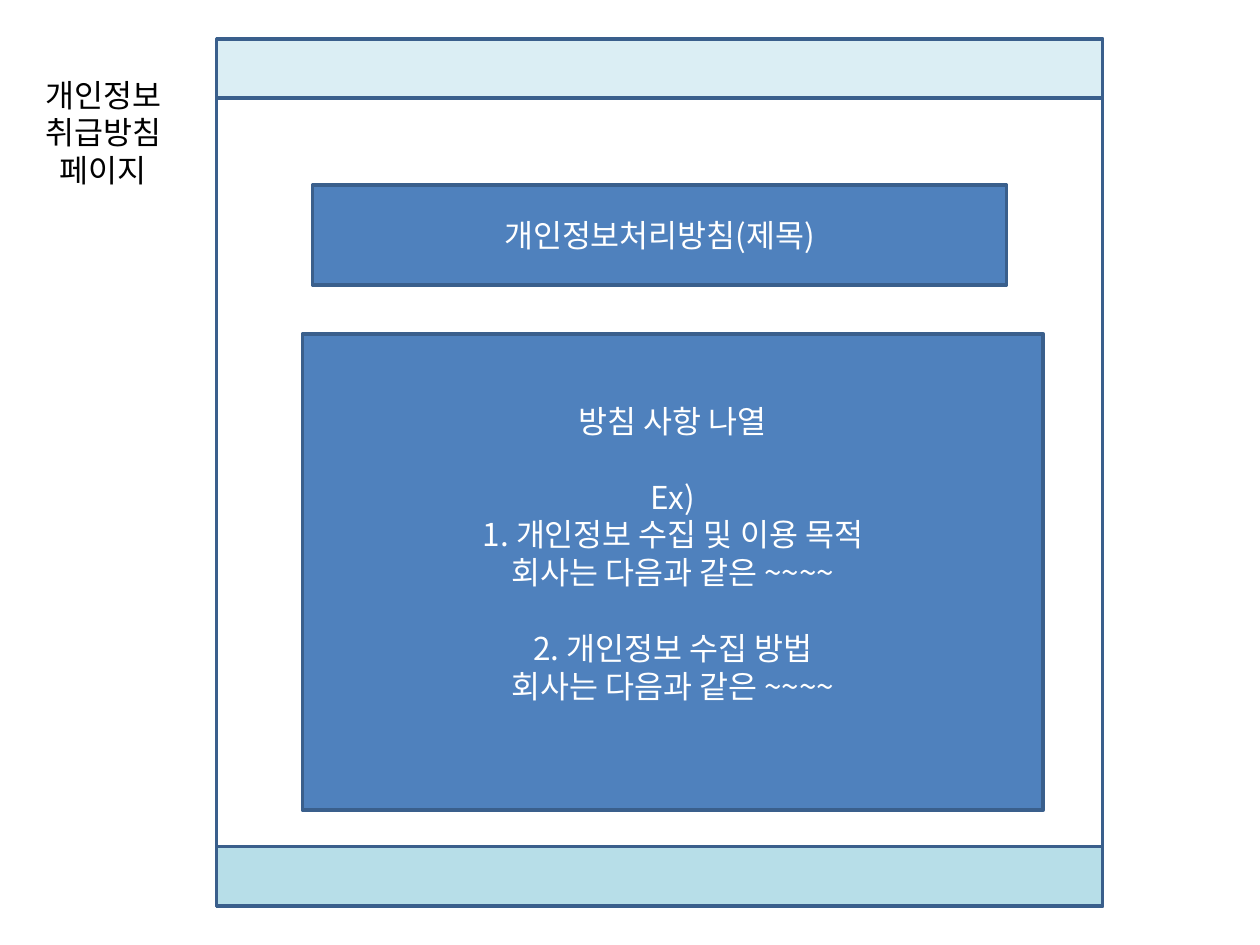
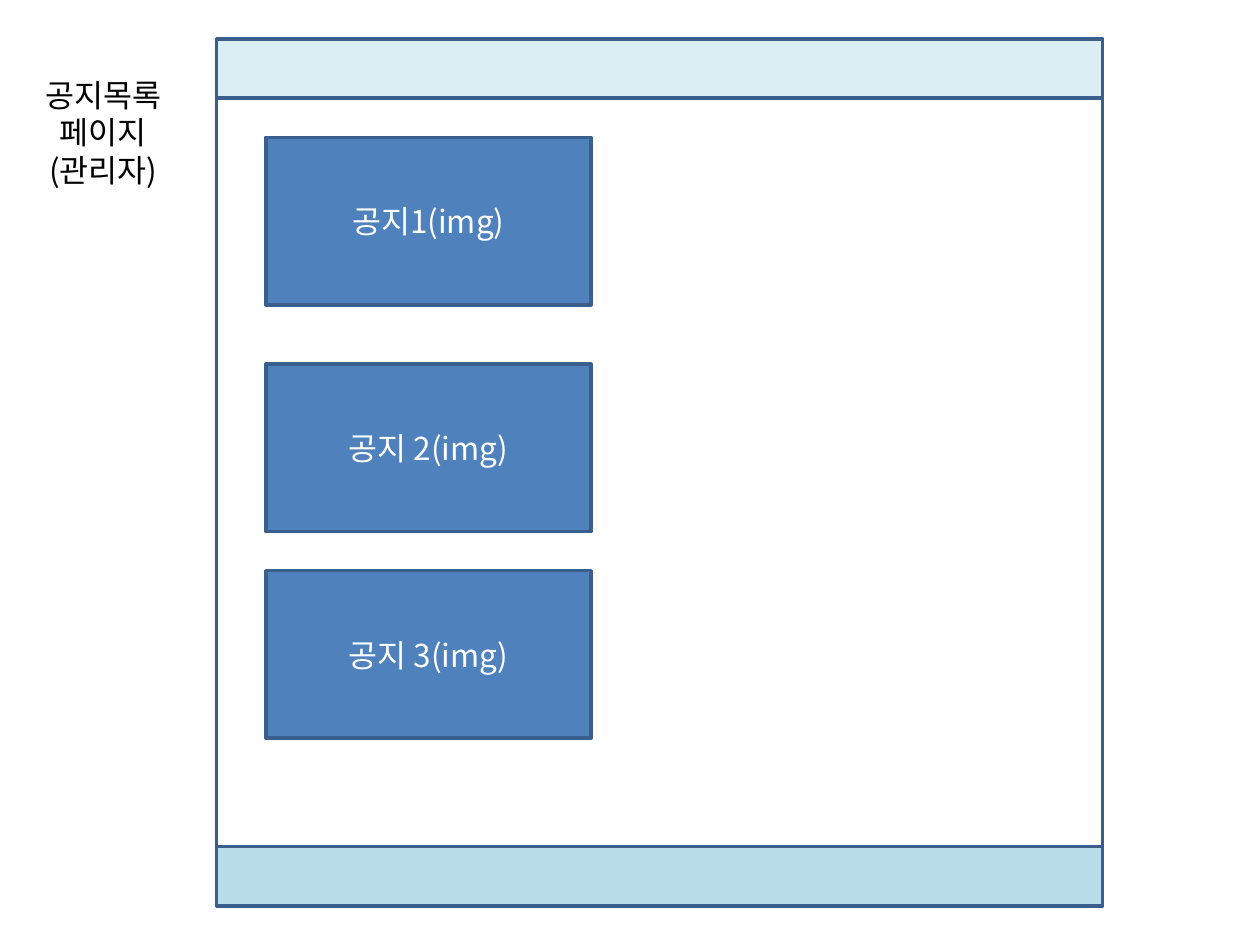
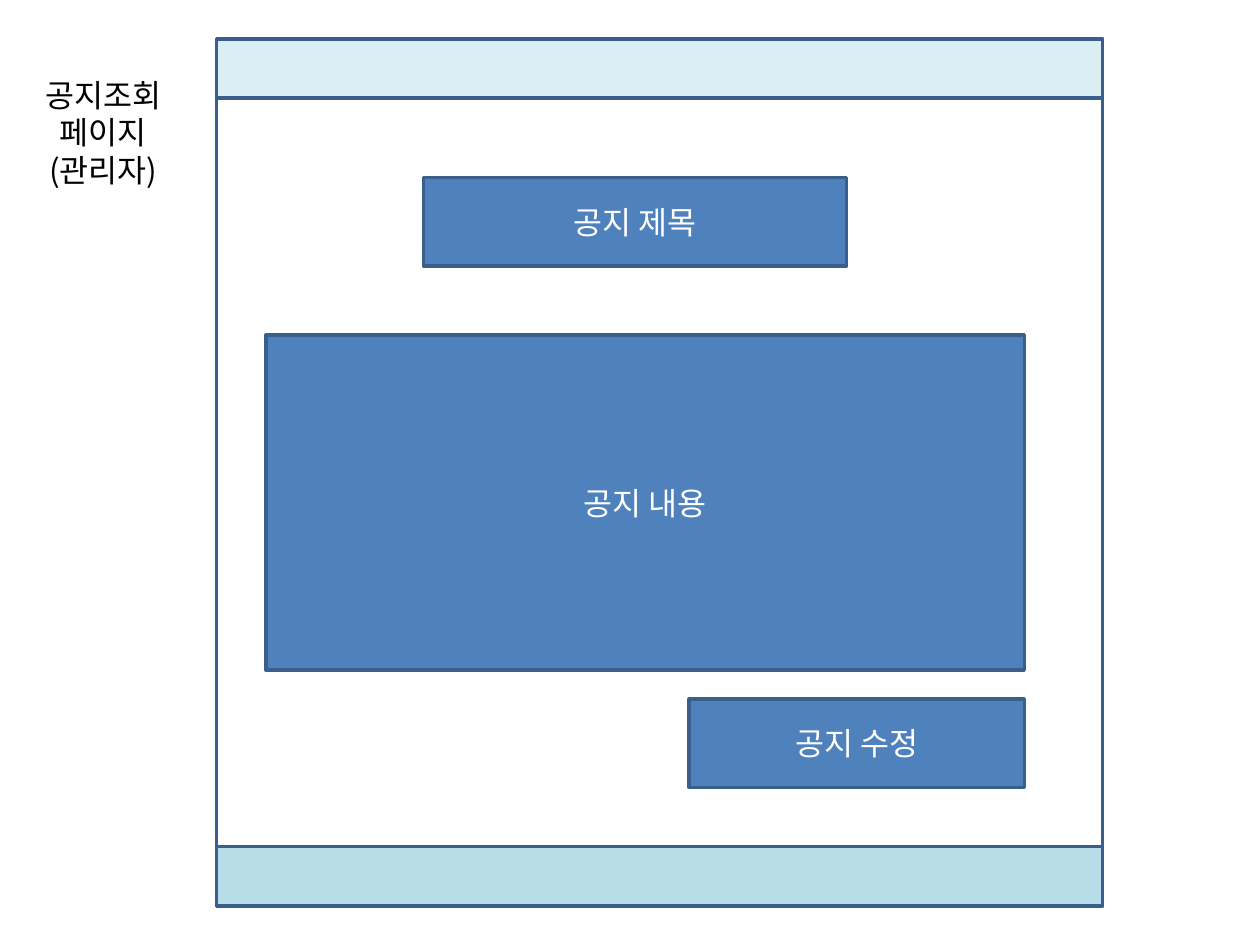
from pptx import Presentation
from pptx.dml.color import RGBColor
from pptx.enum.shapes import MSO_SHAPE
from pptx.enum.text import MSO_ANCHOR, MSO_AUTO_SIZE, PP_ALIGN
from pptx.oxml.ns import qn
from pptx.util import Inches, Pt
from lxml.etree import SubElement

# Shared look
FONT = "Noto Sans CJK KR"
BLACK = RGBColor(0x00, 0x00, 0x00)
WHITE = RGBColor(0xFF, 0xFF, 0xFF)
EDGE = RGBColor(0x3A, 0x5F, 0x8C)
BLUE = RGBColor(0x4F, 0x81, 0xBD)
PALE = RGBColor(0xDB, 0xEE, 0xF4)
AQUA = RGBColor(0xB7, 0xDE, 0xE8)
SIZE = Pt(18)
LINE = Pt(21.6)

deck = Presentation()
deck.slide_width, deck.slide_height = Inches(10), Inches(7.5)

# Grid of 100 columns by 75 rows
COL = deck.slide_width / 100
ROW = deck.slide_height / 75

# Page frame, in grid units
LEFT, TOP, WIDE, TALL, BAND = 17.2, 3.1, 70.3, 68.8, 4.7
FRAME = [
    (TOP, TALL, WHITE),
    (TOP, BAND, PALE),
    (TOP + TALL - BAND, BAND, AQUA),
]


def write(frame, text, color=WHITE, anchor=MSO_ANCHOR.MIDDLE, gaps=()):
    """Fill a text frame; gaps lists the lines that follow an open line."""
    frame.text = text
    frame.word_wrap = True
    frame.auto_size = MSO_AUTO_SIZE.NONE
    frame.vertical_anchor = anchor
    for i, para in enumerate(frame.paragraphs):
        para.alignment = PP_ALIGN.CENTER
        para.line_spacing = LINE
        para.space_before = LINE if i in gaps else Pt(0)
        for run in para.runs:
            run.font.name, run.font.size = FONT, SIZE
            run.font.color.rgb = color
            SubElement(run.font._element, qn("a:ea"), typeface=FONT)


def box(slide, x, y, w, h, fill):
    """Draw an outlined rectangle, placed in grid units."""
    rect = slide.shapes.add_shape(
        MSO_SHAPE.RECTANGLE,
        round(x * COL), round(y * ROW), round(w * COL), round(h * ROW))
    rect.shadow.inherit = False
    rect.fill.solid()
    rect.fill.fore_color.rgb = fill
    rect.line.color.rgb = EDGE
    rect.line.width = Pt(2)
    return rect


# Contents: title, then blocks as (x, y, w, h, text, lines after a gap)
INSET = 21.1
RULES = "\n".join([
    "방침 사항 나열",
    "Ex)",
    "1. 개인정보 수집 및 이용 목적",
    "회사는 다음과 같은 ~~~~",
    "2. 개인정보 수집 방법",
    "회사는 다음과 같은 ~~~~",
])
NEWS = [(10.9, "공지1(img)"), (28.9, "공지 2(img)"), (45.3, "공지 3(img)")]
PAGES = [
    ("개인정보\n취급방침\n페이지", [
        (24.8, 14.7, 55.1, 7.9, "개인정보처리방침(제목)", ()),
        (24, 26.5, 58.8, 37.8, RULES, (1, 4)),
    ]),
    ("공지목록\n페이지\n(관리자)", [
        (INSET, y, 25.8, 13.3, text, ()) for y, text in NEWS
    ]),
    ("공지조회\n페이지\n(관리자)", [
        (33.6, 14.1, 33.6, 7, "공지 제목", ()),
        (INSET, 26.6, 60.2, 26.6, "공지 내용", ()),
        (54.7, 55.5, 26.6, 7, "공지 수정", ()),
    ]),
]

for name, blocks in PAGES:
    slide = deck.slides.add_slide(deck.slide_layouts[5])

    # Title beside the frame
    title = slide.shapes.title
    title.left, title.top = 0, round(5.5 * ROW)
    title.width, title.height = round(16.4 * COL), round(10.1 * ROW)
    write(title.text_frame, name, color=BLACK, anchor=MSO_ANCHOR.TOP)

    # Frame with its header and footer bands
    for y, h, fill in FRAME:
        box(slide, LEFT, y, WIDE, h, fill)

    # Content blocks
    for x, y, w, h, text, gaps in blocks:
        frame = box(slide, x, y, w, h, BLUE).text_frame
        write(frame, text, gaps=gaps)
        if gaps:  # lift the list by one open line at its foot
            frame.margin_bottom += LINE

deck.save("out.pptx")
